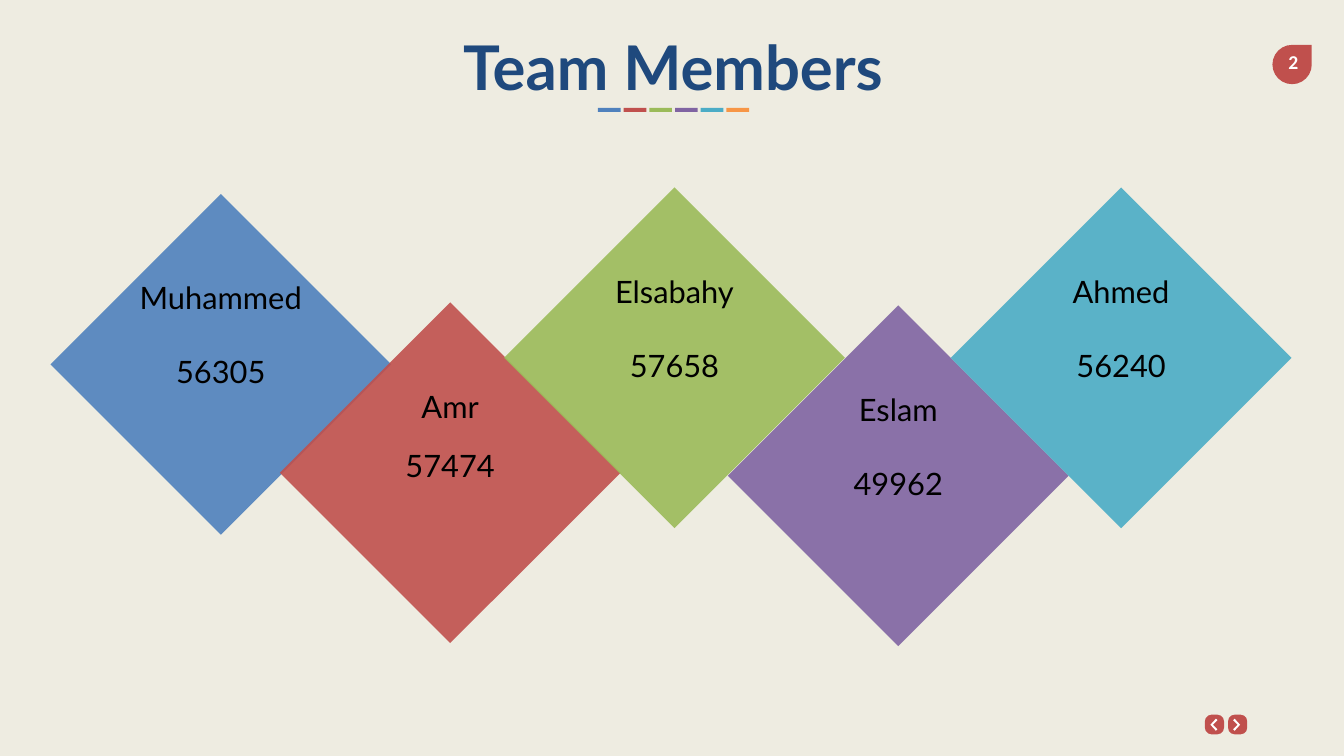
from dataclasses import dataclass

import pptx
import pptx.dml.color
import pptx.enum.shapes
import pptx.enum.text
import pptx.oxml
import pptx.oxml.ns
import pptx.util

RGBColor = pptx.dml.color.RGBColor
MSO_SHAPE = pptx.enum.shapes.MSO_SHAPE

SCALE = 9144  # EMU per px, 100 px to the inch

CREAM = RGBColor(0xEE, 0xEC, 0xE1)
NAVY = RGBColor(0x1F, 0x49, 0x7D)
BLUE = RGBColor(0x4F, 0x81, 0xBD)
RED = RGBColor(0xC0, 0x50, 0x4D)
GREEN = RGBColor(0x9B, 0xBB, 0x59)
PURPLE = RGBColor(0x80, 0x64, 0xA2)
TEAL = RGBColor(0x4B, 0xAC, 0xC6)
ORANGE = RGBColor(0xF7, 0x96, 0x46)
WHITE = RGBColor(0xFF, 0xFF, 0xFF)
BLACK = RGBColor(0x00, 0x00, 0x00)

DIAMOND_SIZE = 676
BAR_PITCH = 51
# Left-pointing chevron, relative to its button
CHEVRON = [(11, 20), (22, 8), (25, 11), (16, 20), (25, 29), (22, 32)]
CHEVRON_SPAN = 35


@dataclass
class Member:
    name: str
    number: str
    left: int
    top: int
    color: RGBColor
    gap: float = 52.8  # points between name and number


MEMBERS = [
    Member("Muhammed", "56305", 100, 385, BLUE),
    Member("Amr", "57474", 555, 600, RED, gap=32.4),
    Member("Elsabahy", "57658", 1000, 372, GREEN),
    Member("Eslam", "49962", 1444, 606, PURPLE),
    Member("Ahmed", "56240", 1886, 372, TEAL),
]


def px(n: int) -> pptx.util.Emu:
    return pptx.util.Emu(n * SCALE)


def paint(s, color: RGBColor) -> None:
    s.shadow.inherit = False
    s.fill.solid()
    s.fill.fore_color.rgb = color
    s.line.fill.background()


def add_block(shapes, kind, left: int, top: int, width: int, height: int, color: RGBColor):
    s = shapes.add_shape(kind, px(left), px(top), px(width), px(height))
    paint(s, color)
    return s


def style(p, size: int, font: str, color: RGBColor, bold: bool = False) -> None:
    p.alignment = pptx.enum.text.PP_ALIGN.CENTER
    p.font.size = pptx.util.Pt(size)
    p.font.name = font
    p.font.bold = bold
    p.font.color.rgb = color


def add_label(shapes, text: str, left: int, top: int, width: int, height: int,
              size: int, font: str, color: RGBColor, wrap: bool):
    tf = shapes.add_textbox(px(left), px(top), px(width), px(height)).text_frame
    tf.word_wrap = wrap
    p = tf.paragraphs[0]
    p.text = text
    style(p, size, font, color, bold=True)
    return tf


def add_button(shapes, left: int, top: int, forward: bool) -> None:
    s = add_block(shapes, MSO_SHAPE.ROUNDED_RECTANGLE, left, top, 38, 39, RED)
    s.adjustments[0] = 0.35
    points = [(left + (CHEVRON_SPAN - x if forward else x), top + y) for x, y in CHEVRON]
    builder = shapes.build_freeform(*points[0], scale=SCALE)
    builder.add_line_segments(points[1:], close=True)
    paint(builder.convert_to_shape(), WHITE)


def add_member(shapes, member: Member) -> None:
    s = add_block(shapes, MSO_SHAPE.DIAMOND, member.left, member.top,
                  DIAMOND_SIZE, DIAMOND_SIZE, member.color)
    # 90 % opaque
    clr = s.element.spPr.find(".//" + pptx.oxml.ns.qn("a:srgbClr"))
    ns = pptx.oxml.ns.nsdecls("a")
    clr.append(pptx.oxml.parse_xml(f'<a:alpha {ns} val="90000"/>'))

    tf = s.text_frame
    tf.word_wrap = True
    tf.vertical_anchor = pptx.enum.text.MSO_ANCHOR.TOP
    tf.margin_left = tf.margin_right = tf.margin_top = tf.margin_bottom = 0
    tf.text = f"{member.name}\n{member.number}"
    for p in tf.paragraphs:
        style(p, 44, "Lato", BLACK)
    tf.paragraphs[1].space_before = pptx.util.Pt(member.gap)


def main() -> None:
    prs = pptx.Presentation()
    prs.slide_width, prs.slide_height = px(2666), px(1500)
    slide = prs.slides.add_slide(prs.slide_layouts[6])
    slide.background.fill.solid()
    slide.background.fill.fore_color.rgb = CREAM
    shapes = slide.shapes

    # Navigation buttons
    add_button(shapes, 2390, 1418, forward=False)
    add_button(shapes, 2436, 1418, forward=True)

    # Page number
    add_block(shapes, MSO_SHAPE.TEAR, 2524, 89, 78, 78, RED)
    tf = add_label(shapes, "2", 2522, 90, 87, 67, 28, "Calibri", WHITE, wrap=False)
    tf.margin_left = tf.margin_right = px(20)
    tf.margin_top = tf.margin_bottom = px(10)

    # Title with coloured bars below
    add_label(shapes, "Team Members", 190, 53, 2290, 158, 88, "Lato", NAVY, wrap=True)
    for i, color in enumerate([BLUE, RED, GREEN, PURPLE, TEAL, ORANGE]):
        add_block(shapes, MSO_SHAPE.RECTANGLE, 1186 + i * BAR_PITCH, 214, 45, 8, color)

    # Team diamonds
    for member in MEMBERS:
        add_member(shapes, member)

    prs.save("out.pptx")


if __name__ == "__main__":
    main()
